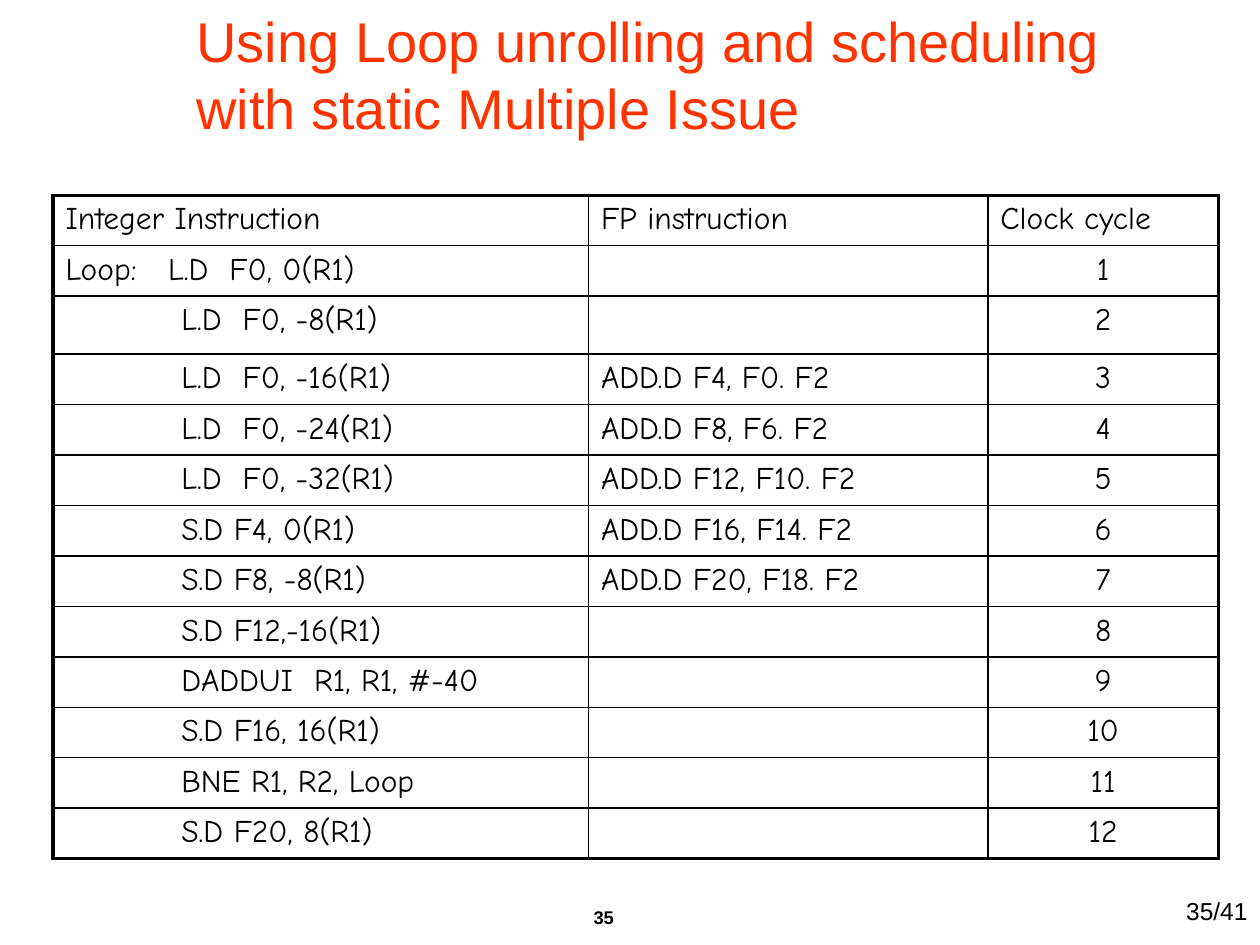
from lxml.etree import SubElement
from pptx import Presentation
from pptx.dml.color import RGBColor
from pptx.enum.text import MSO_ANCHOR, PP_ALIGN
from pptx.oxml.ns import qn
from pptx.util import Inches, Pt

BLACK = RGBColor(0x00, 0x00, 0x00)
WHITE = RGBColor(0xFF, 0xFF, 0xFF)
TITLE_RED = RGBColor(0xFF, 0x33, 0x00)

COLUMN_WIDTHS = (4.25, 3.17, 1.83)
ROW_HEIGHT = 0.4
TALL_ROW, TALL_ROW_HEIGHT = 2, 0.46
THIN, THICK = 1, 2.25

HEADER = ("Integer Instruction", "FP instruction", "Clock cycle")
CODE_INDENT = " " * 11
LOOP_START = "Loop:   L.D  F0, 0(R1)"
LOOP_BODY = (
    "L.D  F0, -8(R1)",
    "L.D  F0, -16(R1)",
    "L.D  F0, -24(R1)",
    "L.D  F0, -32(R1)",
    "S.D F4, 0(R1)",
    "S.D F8, -8(R1)",
    "S.D F12,-16(R1)",
    "DADDUI  R1, R1, #-40",
    "S.D F16, 16(R1)",
    "BNE R1, R2, Loop",
    "S.D F20, 8(R1)",
)
# Floating-point instructions by the clock cycle in which they issue
FP_INSTRUCTIONS = {
    3: "ADD.D F4, F0. F2",
    4: "ADD.D F8, F6. F2",
    5: "ADD.D F12, F10. F2",
    6: "ADD.D F16, F14. F2",
    7: "ADD.D F20, F18. F2",
}


def write_text(text_frame, text, font="Arial", size=18, color=BLACK,
               bold=False, align=PP_ALIGN.LEFT):
    paragraph = text_frame.paragraphs[0]
    paragraph.text = text
    paragraph.alignment = align
    for run in paragraph.runs:
        run.font.name = font
        run.font.size = Pt(size)
        run.font.bold = bold
        run.font.color.rgb = color


def set_borders(cell, widths):
    """Set the left, right, top and bottom lines, which precede the fill."""
    properties = cell._tc.get_or_add_tcPr()
    for position, (side, width) in enumerate(zip("LRTB", widths)):
        line = SubElement(properties, qn(f"a:ln{side}"), w=str(Pt(width)))
        fill = SubElement(line, qn("a:solidFill"))
        SubElement(fill, qn("a:srgbClr"), val=str(BLACK))
        properties.insert(position, line)


class SlideBuilder:
    heading_font = "Arial"
    table_font = "Comic Neue"

    def __init__(self, presentation):
        self.slide = presentation.slides.add_slide(presentation.slide_layouts[6])

    def text_box(self, text, left, top, width, height, fill=None,
                 anchor=MSO_ANCHOR.TOP, **text_format):
        shape = self.slide.shapes.add_textbox(
            Inches(left), Inches(top), Inches(width), Inches(height))
        if fill is not None:
            shape.fill.solid()
            shape.fill.fore_color.rgb = fill
        shape.text_frame.word_wrap = True
        shape.text_frame.vertical_anchor = anchor
        write_text(shape.text_frame, text, font=self.heading_font, **text_format)

    def table(self, rows, left, top):
        heights = [ROW_HEIGHT] * len(rows)
        heights[TALL_ROW] = TALL_ROW_HEIGHT
        table = self.slide.shapes.add_table(
            len(rows), len(COLUMN_WIDTHS), Inches(left), Inches(top),
            Inches(sum(COLUMN_WIDTHS)), Inches(sum(heights))).table
        table.first_row = False
        table.horz_banding = False
        for column, width in zip(table.columns, COLUMN_WIDTHS):
            column.width = Inches(width)
        for row, height in zip(table.rows, heights):
            row.height = Inches(height)

        last_row, last_column = len(rows) - 1, len(COLUMN_WIDTHS) - 1
        for row_index, row in enumerate(rows):
            for column_index, text in enumerate(row):
                cell = table.cell(row_index, column_index)
                cell.fill.background()
                outer_sides = (column_index == 0, column_index == last_column,
                               row_index == 0, row_index == last_row)
                set_borders(cell, [THICK if outer else THIN for outer in outer_sides])
                if not text:
                    # Keep an empty line from stretching its row
                    cell.margin_top = cell.margin_bottom = 0
                    continue
                centered = row_index > 0 and column_index == last_column
                write_text(cell.text_frame, text, font=self.table_font,
                           align=PP_ALIGN.CENTER if centered else PP_ALIGN.LEFT)


def main():
    presentation = Presentation()
    presentation.slide_width = Inches(10)
    presentation.slide_height = Inches(7.5)
    builder = SlideBuilder(presentation)

    # Page numbers
    builder.text_box("35", 2.89, 7.14, 2.08, 0.36, size=10.5, bold=True,
                     align=PP_ALIGN.RIGHT)
    builder.text_box("35/41", 7.92, 7.06, 2.08, 0.44, size=14,
                     align=PP_ALIGN.RIGHT)

    # Title
    builder.text_box("Using Loop unrolling and scheduling \vwith static Multiple Issue",
                     1.46, 0.02, 8.35, 1.13, fill=WHITE,
                     anchor=MSO_ANCHOR.MIDDLE, size=32, color=TITLE_RED)

    # Instruction schedule
    instructions = [LOOP_START] + [CODE_INDENT + code for code in LOOP_BODY]
    schedule = [(code, FP_INSTRUCTIONS.get(cycle, ""), str(cycle))
                for cycle, code in enumerate(instructions, start=1)]
    builder.table([HEADER] + schedule, 0.42, 1.55)

    presentation.save("out.pptx")


if __name__ == "__main__":
    main()
